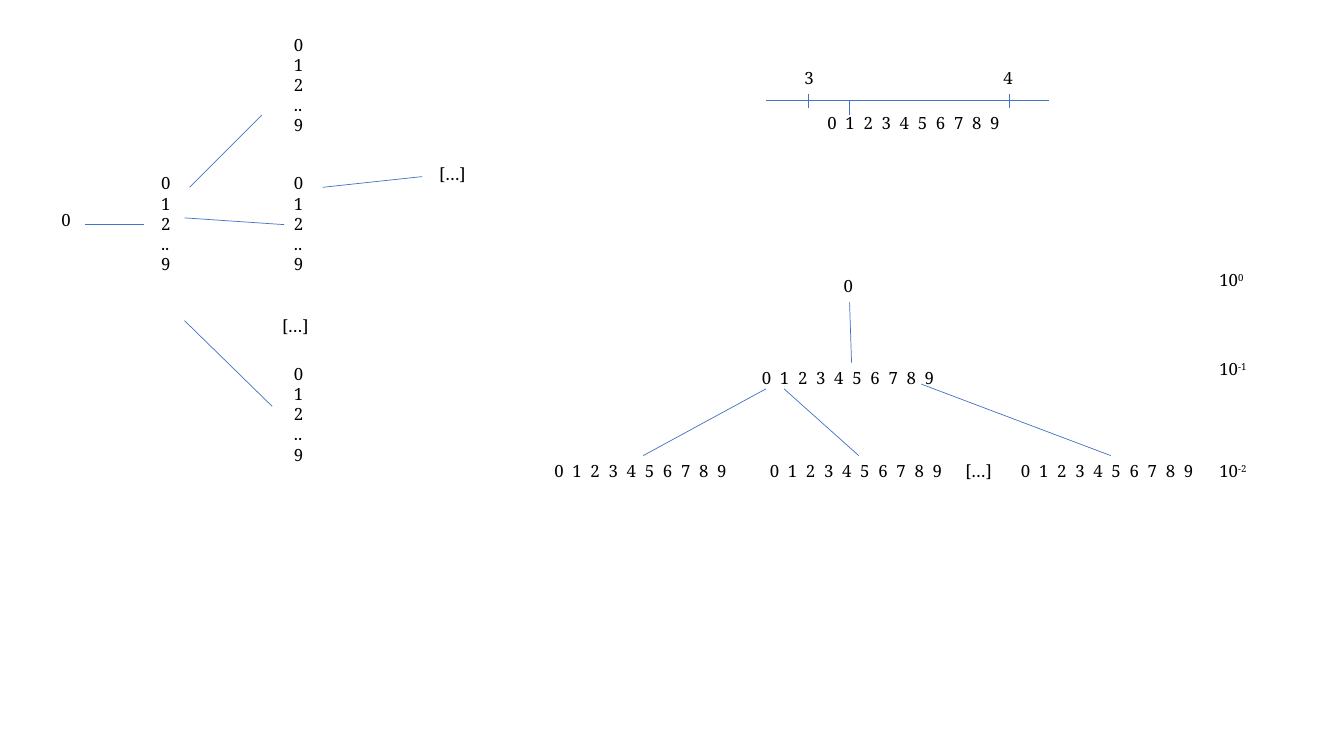
"""Build a slide of decimal digit trees and a number line."""
from lxml.etree import SubElement
from pptx import Presentation
from pptx.dml.color import RGBColor
from pptx.enum.shapes import MSO_CONNECTOR
from pptx.enum.text import MSO_AUTO_SIZE
from pptx.oxml.ns import qn
from pptx.util import Cm, Pt

FONT = "Noto Serif"
BLACK = "000000"
BLUE = "4472C4"
DIGIT_ROW = "  ".join(str(digit) for digit in range(10))
DIGIT_COLUMN = "0\n1\n2\n..\n9"

presentation = Presentation()
presentation.slide_width = Cm(33.87)
presentation.slide_height = Cm(19.05)
slide = presentation.slides.add_slide(presentation.slide_layouts[6])


def add_label(text, left, top, width, height=0.77, wrap=False):
    """Add a text box with one paragraph per line and return its frame."""
    shape = slide.shapes.add_textbox(Cm(left), Cm(top), Cm(width), Cm(height))
    frame = shape.text_frame
    frame.word_wrap = wrap
    frame.auto_size = MSO_AUTO_SIZE.SHAPE_TO_FIT_TEXT
    frame.text = text
    for paragraph in frame.paragraphs:
        paragraph.font.name = FONT
        paragraph.font.size = Pt(12)
        paragraph.font.color.rgb = RGBColor.from_string(BLACK)
    return frame


def add_line(x1, y1, x2, y2):
    """Add a thin blue line without a shadow."""
    connector = slide.shapes.add_connector(
        MSO_CONNECTOR.STRAIGHT, Cm(x1), Cm(y1), Cm(x2), Cm(y2))
    connector.line.color.rgb = RGBColor.from_string(BLUE)
    connector.line.width = Pt(0.5)
    SubElement(connector._element.spPr, qn("a:effectLst"))


for left, top in [(1.3, 5.16), (21.01, 6.83)]:
    add_label("0", left, top, 0.79)

for left, top in [(3.81, 4.24), (7.16, 0.74), (7.16, 4.24), (7.16, 9.04)]:
    add_label(DIGIT_COLUMN, left, top, 0.79, 2.82)

for left, top in [(10.82, 4.01), (6.86, 7.82), (24.08, 11.48)]:
    add_label("[…]", left, top, 1.17)

for left, top in [(20.6, 2.72), (18.95, 9.14),
                  (13.72, 11.48), (19.15, 11.48), (25.48, 11.48)]:
    add_label(DIGIT_ROW, left, top, 5, wrap=True)

for number, left in [("3", 20.02), ("4", 25.04)]:
    add_label(number, left, 1.57, 1.17, wrap=True)

for exponent, top, width in [("0", 6.68, 1.14), ("-1", 8.92, 1.19), ("-2", 11.48, 1.22)]:
    paragraph = add_label("10", 30.48, top, width).paragraphs[0]
    run = paragraph.add_run()
    run.text = exponent
    run.font._element.set("baseline", "30000")

left_tree_lines = [
    (2.13, 5.66, 3.63, 5.66),
    (4.78, 4.72, 6.6, 2.9),
    (4.65, 5.49, 7.16, 5.66),
    (4.65, 8.08, 6.86, 10.24),
    (8.13, 4.72, 10.64, 4.45),
]
number_line = [
    (19.3, 2.54, 26.44, 2.54),
    (20.37, 2.36, 20.37, 2.72),
    (25.43, 2.36, 25.43, 2.72),
    (21.41, 2.54, 21.41, 2.9),
]
right_tree_lines = [
    (21.41, 7.62, 21.46, 9.14),
    (19.3, 9.8, 16.21, 11.48),
    (19.76, 9.8, 21.64, 11.48),
    (23.22, 9.68, 27.99, 11.48),
]
for ends in left_tree_lines + number_line + right_tree_lines:
    add_line(*ends)

presentation.save("out.pptx")
